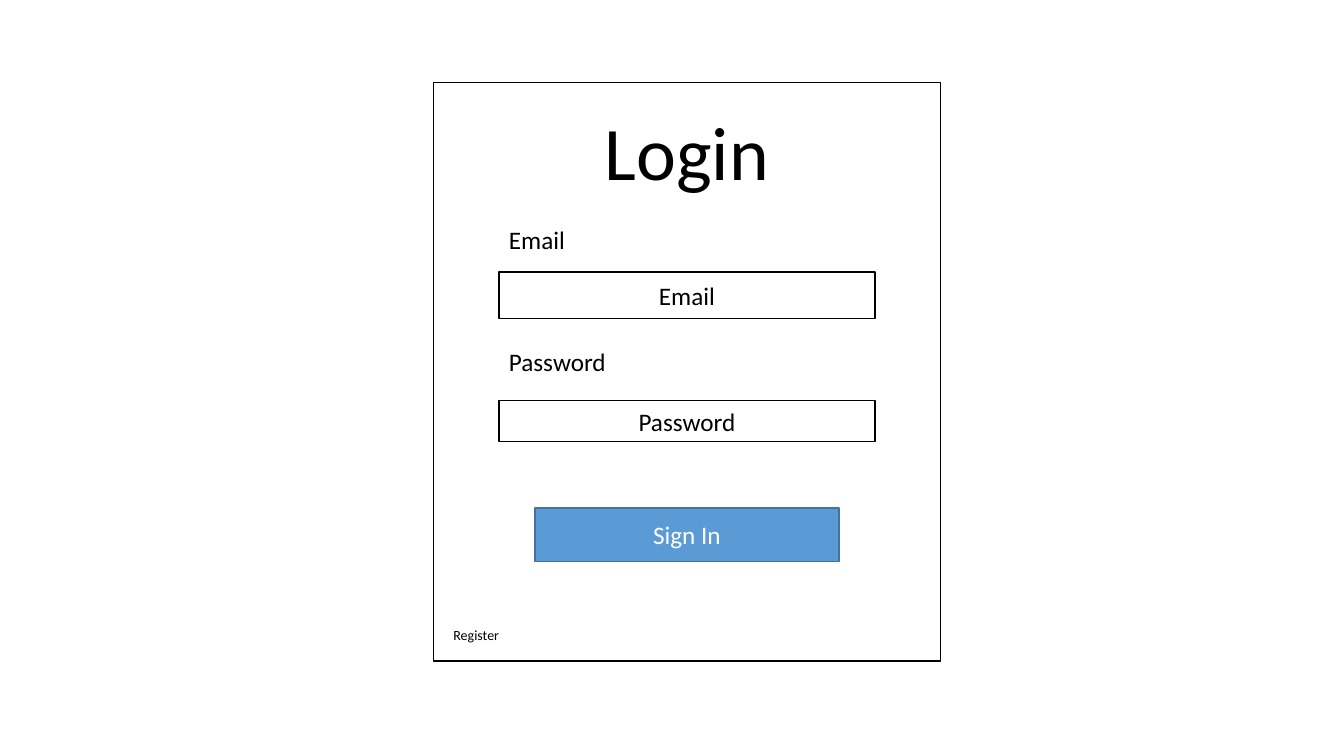
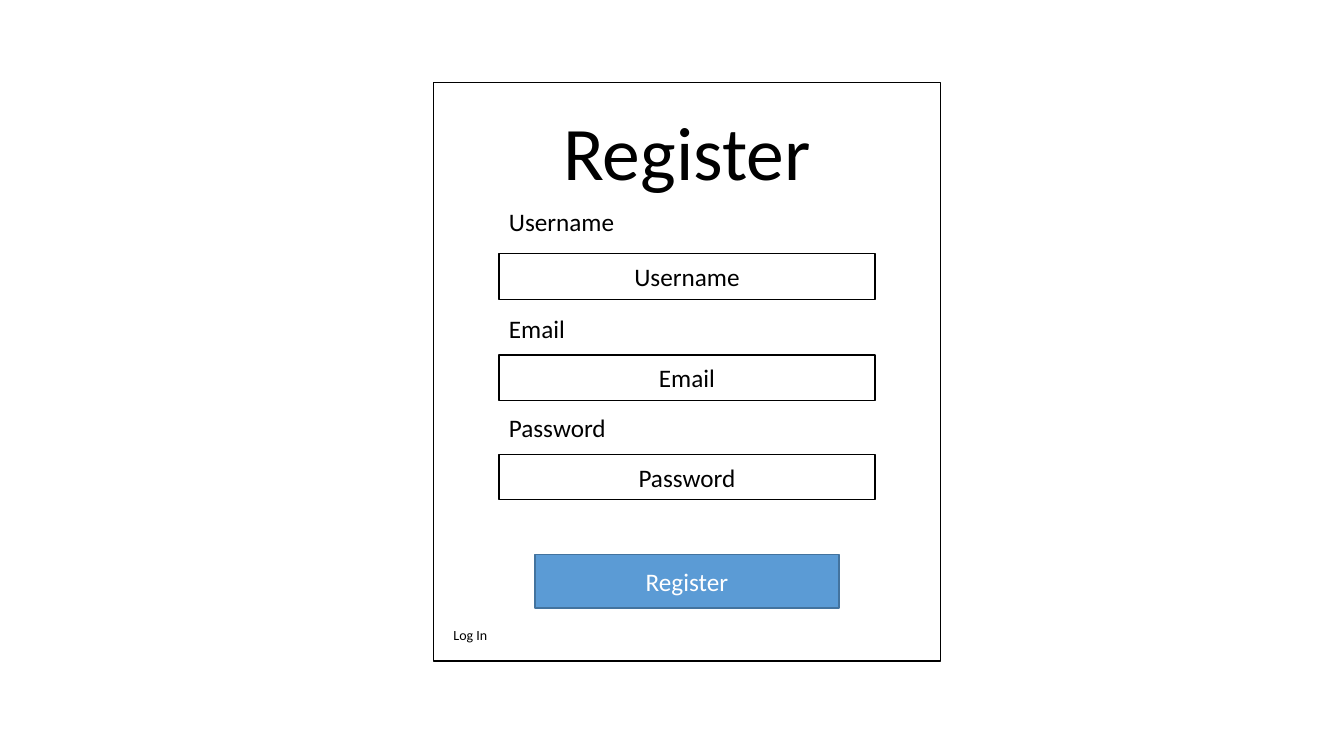
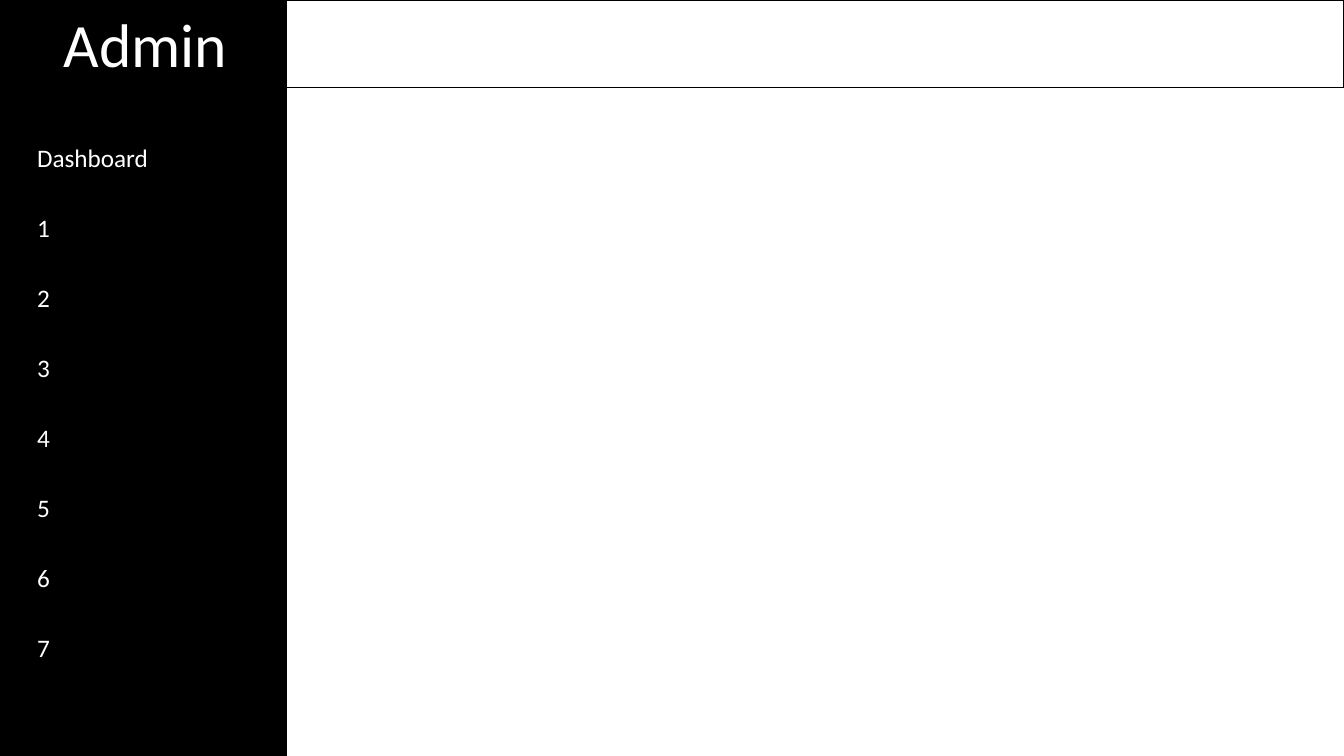
from pptx import Presentation
from pptx.dml.color import RGBColor
from pptx.enum import shapes, text
from pptx.util import Pt

INK = {"black": "000000", "white": "FFFFFF", "blue": "5B9BD5", "edge": "43739E"}
WIDE, HIGH = 960, 540
MID = 490.7  # centre line of the form card
LEFT, MIDDLE = text.PP_ALIGN.LEFT, text.PP_ALIGN.CENTER


def tint(name):
    return RGBColor.from_string(INK[name])


class Deck:
    font = "Calibri"
    size = 18

    def __init__(self):
        self.file = Presentation()
        self.file.slide_width, self.file.slide_height = Pt(WIDE), Pt(HIGH)
        self.page = None

    def start(self):
        self.page = self.file.slides.add_slide(self.file.slide_layouts[5])

    def letter(self, frame, words, size, ink, align, anchor):
        frame.word_wrap = True
        frame.vertical_anchor = anchor
        para = frame.paragraphs[0]
        para.alignment = align
        run = para.add_run()
        run.text = words
        run.font.name, run.font.size = self.font, Pt(size)
        run.font.color.rgb = tint(ink)

    def title(self, words, x, y, w, h, size, ink="black", align=MIDDLE):
        head = self.page.shapes.title
        head.left, head.top, head.width, head.height = map(Pt, (x, y, w, h))
        self.letter(head.text_frame, words, size, ink, align, text.MSO_ANCHOR.TOP)
        head.text_frame.auto_size = text.MSO_AUTO_SIZE.SHAPE_TO_FIT_TEXT
        # Bring the title in front of the panels
        head.element.getparent().append(head.element)

    def box(self, x, y, w, h, words="", fill="white", line="black", ink="black"):
        rect = self.page.shapes.add_shape(
            shapes.MSO_SHAPE.RECTANGLE, Pt(x), Pt(y), Pt(w), Pt(h))
        rect.shadow.inherit = False
        rect.fill.solid()
        rect.fill.fore_color.rgb = tint(fill)
        rect.line.color.rgb = tint(line)
        rect.line.width = Pt(1)
        if words:
            self.letter(rect.text_frame, words, self.size, ink, MIDDLE,
                        text.MSO_ANCHOR.MIDDLE)

    def label(self, words, x, y, w, h=29, size=size, ink="black"):
        note = self.page.shapes.add_textbox(Pt(x), Pt(y), Pt(w), Pt(h))
        self.letter(note.text_frame, words, size, ink, LEFT, text.MSO_ANCHOR.TOP)
        note.text_frame.auto_size = text.MSO_AUTO_SIZE.SHAPE_TO_FIT_TEXT

    def form(self, title, fields, button, top, link):
        """Card with a title, labelled fields, a button and a link."""
        def mid(w):
            return MID - w / 2

        self.start()
        self.box(mid(362.2), 59, 362.2, 413.3)
        self.title(title, mid(242.6), 71.3, 242.6, 72.7, 54)
        for name, label_y, box_y, h in fields:
            self.label(name, mid(268.6), label_y, 146)
            self.box(mid(268.6), box_y, 268.6, h, name)
        self.box(mid(217), top, 217, 38.2, button, "blue", "edge", "white")
        self.label(link, 316.8, 444.2, 151, 19.4, 10)

    def admin(self, title, menu):
        """Dark side bar with a menu, and a top band."""
        side = 204.5
        self.start()
        self.box(0, 0, side, HIGH, fill="black")
        self.box(side, 0, WIDE - side, 62.6)
        self.title(title, 38.2, 0.7, 145.4, 60.5, 44, "white", LEFT)
        for i, item in enumerate(menu):
            self.label(item, 19.4, 97.8 + 50 * i, 151, ink="white")


def main():
    deck = Deck()
    # Each field: name, label top, box top, box height
    deck.form("Login", [("Email", 157, 194.2, 33.2),
                        ("Password", 244, 286, 29.4)],
              "Sign In", 362.8, "Register")
    deck.form("Register", [("Username", 144, 181.2, 32.8),
                           ("Email", 220.3, 253.5, 32.8),
                           ("Password", 291, 324.5, 32.4)],
              "Register", 396, "Log In")
    deck.admin("Admin", ["Dashboard"] + [str(n) for n in range(1, 8)])
    deck.file.save("out.pptx")


if __name__ == "__main__":
    main()
